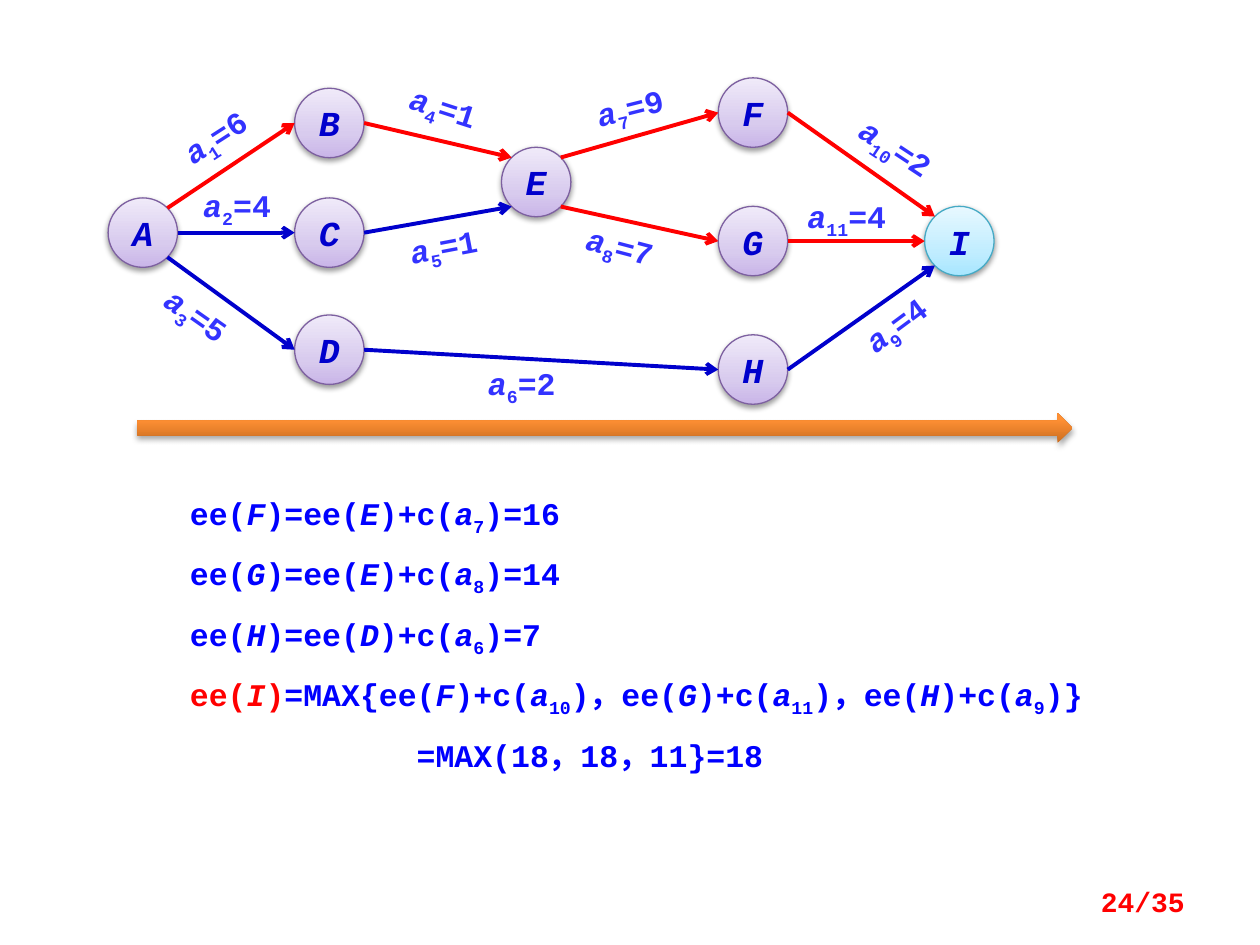
import math
from dataclasses import dataclass

from lxml import etree
from pptx import Presentation
from pptx.dml.color import RGBColor
from pptx.enum.shapes import MSO_CONNECTOR, MSO_SHAPE
from pptx.enum.text import MSO_ANCHOR, PP_ALIGN
from pptx.oxml import parse_xml
from pptx.oxml.ns import nsdecls, qn
from pptx.util import Cm, Pt

STRAIGHT = MSO_CONNECTOR.STRAIGHT
OVAL, RIGHT_ARROW = MSO_SHAPE.OVAL, MSO_SHAPE.RIGHT_ARROW
MIDDLE = MSO_ANCHOR.MIDDLE
CENTER, JUSTIFY, RIGHT = PP_ALIGN.CENTER, PP_ALIGN.JUSTIFY, PP_ALIGN.RIGHT

FONT = "Courier New"
RED, NAVY, BLUE, LABEL_BLUE = "FF0000", "0000CC", "0000FF", "3333FF"
DIAMETER = 1.4
LABEL_WIDTH, LABEL_HEIGHT = 2.39, 0.79
LILAC = ((0, "C9B5E8"), (35, "D8CBEE"), (100, "F0EAF9"))
SKY = ((0, "A7E6FF"), (35, "C1EDFF"), (100, "E7F8FF"))
ORANGE = ((0, "CC6E20"), (80, "FF9034"), (100, "FF9136"))


@dataclass(frozen=True)
class Node:
    name: str
    x: float
    y: float
    stops: tuple = LILAC
    outline: str = "7D60A0"


@dataclass(frozen=True)
class Edge:
    start: str
    end: str
    start_angle: int
    end_angle: int
    color: str
    label: str
    label_x: float
    label_y: float
    rotation: float = 0


COLUMNS = (2.88, 6.64, 10.81, 15.18, 19.34)
NODES = (
    Node("A", COLUMNS[0], 4.69),
    Node("B", COLUMNS[1], 2.48),
    Node("C", COLUMNS[1], 4.69),
    Node("D", COLUMNS[1], 7.05),
    Node("E", COLUMNS[2], 3.67),
    Node("F", COLUMNS[3], 2.27),
    Node("G", COLUMNS[3], 4.86),
    Node("H", COLUMNS[3], 7.45),
    Node("I", COLUMNS[4], 4.86, SKY, "46AAC5"),
)
EDGES = (
    Edge("A", "B", -45, 180, RED, "a|1|=6", 4.34, 2.76, -32.7),
    Edge("A", "C", 0, 180, NAVY, "a|2|=4", 4.78, 4.15),
    Edge("A", "D", 45, 180, NAVY, "a|3|=5", 3.96, 6.36, 35.2),
    Edge("B", "E", 0, 225, RED, "a|4|=1", 8.94, 2.17, 17.8),
    Edge("C", "E", 0, 135, NAVY, "a|5|=1", 8.94, 4.97, -10.8),
    Edge("D", "H", 0, 180, NAVY, "a|6|=2", 10.52, 7.73),
    Edge("E", "F", -45, 180, RED, "a|7|=9", 12.7, 2.17, -14),
    Edge("E", "G", 45, 180, RED, "a|8|=7", 12.5, 4.97, 14.7),
    Edge("H", "I", 0, 135, NAVY, "a|9|=4", 18.06, 6.54, -36.6),
    Edge("F", "I", 0, 225, RED, "a|10|=2", 18.06, 2.98, 33.4),
    Edge("G", "I", 0, 180, RED, "a|11|=4", 17.07, 4.36),
)
FORMULAS = (
    ("", "ee(|F|)=ee(|E|)+c(|a|7|)=16"),
    ("", "ee(|G|)=ee(|E|)+c(|a|8|)=14"),
    ("", "ee(|H|)=ee(|D|)+c(|a|6|)=7"),
    ("ee(|I|)", "=MAX{ee(|F|)+c(|a|10|)，ee(|G|)+c(|a|11|)，ee(|H|)+c(|a|9|)}"),
    ("", "=MAX(18，18，11}=18"),
)


def rgb(color: str) -> RGBColor:
    return RGBColor.from_string(color)


def add_runs(paragraph, markup: str, size: float, color: str) -> None:
    """Split at bars: letters alone are italic, digits alone are subscripts."""
    for part in filter(None, markup.split("|")):
        run = paragraph.add_run()
        run.text = part
        font = run.font
        font.name, font.size, font.bold = FONT, Pt(size), True
        font.italic = part.isalpha()
        font.color.rgb = rgb(color)
        if part.isdigit():
            run._r.get_or_add_rPr().set("baseline", "-25000")


def add_text_box(slide, left: float, top: float, width: float, height: float):
    box = slide.shapes.add_textbox(Cm(left), Cm(top), Cm(width), Cm(height))
    box.text_frame.word_wrap = True
    return box


def apply_gradient_and_shadow(shape, stops: tuple, distance: int, opacity: int) -> None:
    shape.fill.background()
    properties = shape._element.spPr
    stop_xml = "".join(
        f'<a:gs pos="{position * 1000}"><a:srgbClr val="{color}"/></a:gs>'
        for position, color in stops
    )
    gradient = parse_xml(
        f'<a:gradFill {nsdecls("a")} rotWithShape="1"><a:gsLst>{stop_xml}</a:gsLst>'
        '<a:lin ang="16200000" scaled="0"/></a:gradFill>'
    )
    properties.replace(properties.find(qn("a:noFill")), gradient)
    shape.shadow.inherit = False
    properties.find(qn("a:effectLst")).append(parse_xml(
        f'<a:outerShdw {nsdecls("a")} blurRad="40000" dist="{distance}" dir="5400000"'
        f' rotWithShape="0"><a:srgbClr val="000000"><a:alpha val="{opacity * 1000}"/>'
        "</a:srgbClr></a:outerShdw>"
    ))


def draw_node(slide, node: Node) -> None:
    radius = DIAMETER / 2
    shape = slide.shapes.add_shape(
        OVAL, Cm(node.x - radius), Cm(node.y - radius), Cm(DIAMETER), Cm(DIAMETER)
    )
    apply_gradient_and_shadow(shape, node.stops, 20000, 38)
    shape.line.color.rgb = rgb(node.outline)
    shape.line.width = Pt(0.75)
    shape.text_frame.vertical_anchor = MIDDLE
    paragraph = shape.text_frame.paragraphs[0]
    paragraph.alignment = CENTER
    add_runs(paragraph, node.name, 20, NAVY)


def rim_point(node: Node, angle: int) -> tuple[int, int]:
    radians = math.radians(angle)
    radius = DIAMETER / 2
    return (Cm(node.x + radius * math.cos(radians)),
            Cm(node.y + radius * math.sin(radians)))


def draw_edge(slide, edge: Edge, nodes: dict[str, Node]) -> None:
    connector = slide.shapes.add_connector(
        STRAIGHT,
        *rim_point(nodes[edge.start], edge.start_angle),
        *rim_point(nodes[edge.end], edge.end_angle),
    )
    connector.line.color.rgb = rgb(edge.color)
    connector.line.width = Pt(2.25)
    etree.SubElement(connector.line._get_or_add_ln(), qn("a:tailEnd"), type="arrow")
    etree.SubElement(connector._element.spPr, qn("a:effectLst"))


def draw_label(slide, edge: Edge) -> None:
    box = add_text_box(slide, edge.label_x - LABEL_WIDTH / 2,
                       edge.label_y - LABEL_HEIGHT / 2, LABEL_WIDTH, LABEL_HEIGHT)
    box.rotation = edge.rotation
    frame = box.text_frame
    frame.margin_left = frame.margin_right = frame.margin_top = frame.margin_bottom = 0
    paragraph = frame.paragraphs[0]
    paragraph.alignment = CENTER
    add_runs(paragraph, edge.label, 18, LABEL_BLUE)


def draw_formulas(slide) -> None:
    frame = add_text_box(slide, 3.58, 9.83, 19.13, 5.64).text_frame
    frame.margin_right = 0
    for index, (red_part, blue_part) in enumerate(FORMULAS):
        paragraph = frame.add_paragraph() if index else frame.paragraphs[0]
        paragraph.alignment = JUSTIFY
        if index:
            paragraph.space_before = Pt(10)
        add_runs(paragraph, red_part, 18, RED)
        add_runs(paragraph, blue_part, 18, BLUE)
    paragraph._p.get_or_add_pPr().set("marL", str(Cm(4.57)))


def draw_time_arrow(slide) -> None:
    arrow = slide.shapes.add_shape(RIGHT_ARROW, Cm(2.77), Cm(8.33), Cm(18.85), Cm(0.6))
    apply_gradient_and_shadow(arrow, ORANGE, 23000, 35)
    arrow.line.fill.background()


def draw_page_number(slide) -> None:
    frame = add_text_box(slide, 18.21, 17.65, 5.92, 1.02).text_frame
    frame.vertical_anchor = MIDDLE
    paragraph = frame.paragraphs[0]
    paragraph.alignment = RIGHT
    add_runs(paragraph, "24/35", 16, RED)


def main() -> None:
    presentation = Presentation()
    presentation.slide_width, presentation.slide_height = Cm(25.4), Cm(19.05)
    slide = presentation.slides.add_slide(presentation.slide_layouts[6])
    draw_formulas(slide)
    for node in NODES:
        draw_node(slide, node)
    nodes = {node.name: node for node in NODES}
    for edge in EDGES:
        draw_edge(slide, edge, nodes)
        draw_label(slide, edge)
    draw_time_arrow(slide)
    draw_page_number(slide)
    presentation.save("out.pptx")


if __name__ == "__main__":
    main()
